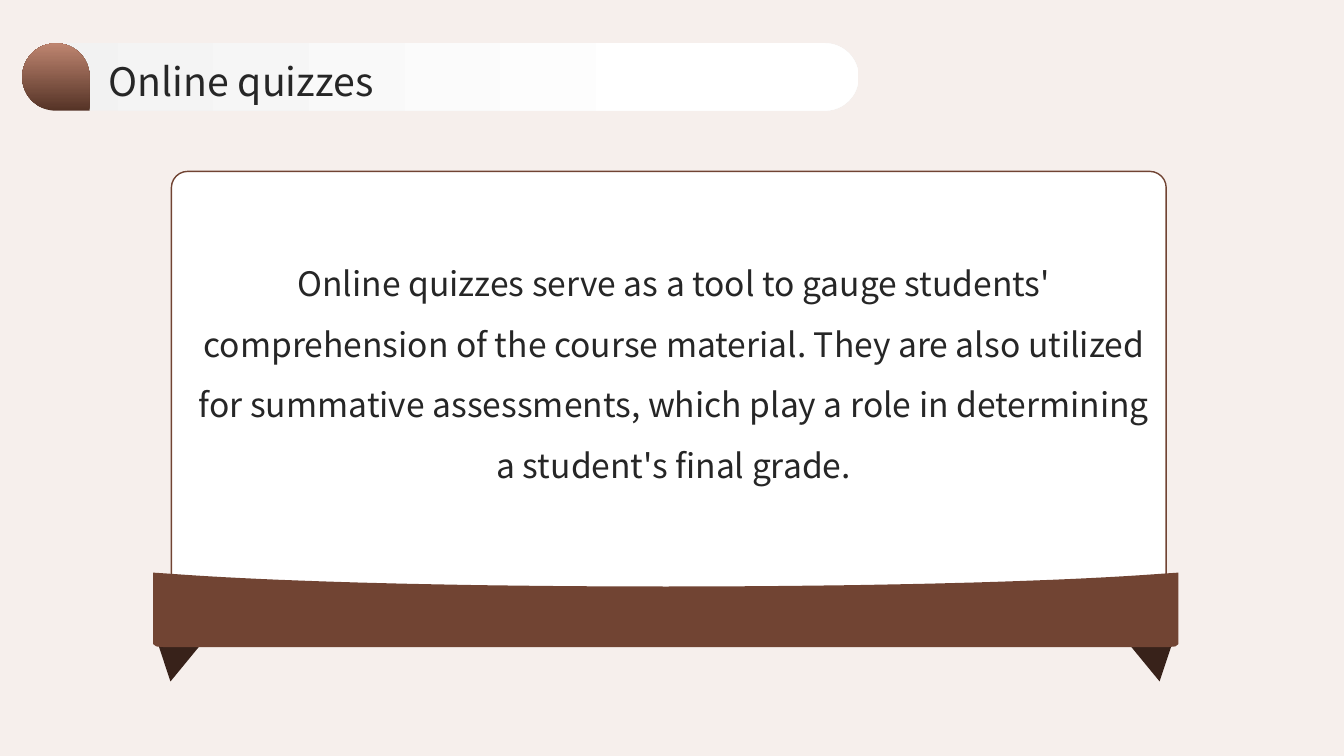
from pptx import Presentation, util as u
from pptx.dml.color import RGBColor
from pptx.enum import shapes, text

COLORS = {
    "background": "F6EFEC",
    "white": "FFFFFF",
    "pale_grey": "F2F2F2",
    "brown": "714433",
    "fold": "38221A",
    "drop_dark": "553326",
    "drop_light": "BE8570",
    "ink": "262626",
}
RGB = {name: RGBColor.from_string(code) for name, code in COLORS.items()}
FONT = "Noto Sans CJK SC"
PRESET = shapes.MSO_SHAPE

deck = Presentation()
deck.slide_width, deck.slide_height = u.Cm(33.87), u.Cm(19.05)
page = deck.slides.add_slide(deck.slide_layouts[6])
page.background.fill.solid()
page.background.fill.fore_color.rgb = RGB["background"]


def add_preset(preset, left, top, width, height, *colors):
    """Add a shape with one solid colour or a two-colour gradient."""
    shape = page.shapes.add_shape(preset, u.Cm(left), u.Cm(top), u.Cm(width), u.Cm(height))
    shape.shadow.inherit = False
    shape.line.fill.background()
    if len(colors) == 1:
        shape.fill.solid()
        shape.fill.fore_color.rgb = RGB[colors[0]]
    else:
        shape.fill.gradient()
        for stop, color in zip(shape.fill.gradient_stops, colors):
            stop.color.rgb = RGB[color]
    return shape


def add_text(words, left, top, width, height, size, spacing):
    """Add a wrapped text box without margins."""
    box = page.shapes.add_textbox(u.Cm(left), u.Cm(top), u.Cm(width), u.Cm(height))
    frame = box.text_frame
    frame.word_wrap = True
    frame.margin_left = frame.margin_right = frame.margin_top = frame.margin_bottom = 0
    frame.text = words
    para = frame.paragraphs[0]
    para.line_spacing = spacing
    span = para.runs[0]
    span.font.name, span.font.size = FONT, u.Pt(size)
    span.font.color.rgb = RGB["ink"]
    return frame


# Folded ribbon ends
for left, turn in ((28.14, -71.6), (4.39, 71.6)):
    fold = add_preset(PRESET.RIGHT_TRIANGLE, left, 15.67, 0.99, 1.57, "fold")
    fold.rotation = turn
    if turn < 0:
        fold._element.spPr.xfrm.set("flipH", "1")

# Card
card = add_preset(PRESET.ROUNDED_RECTANGLE, 4.32, 4.32, 25.07, 11.1, "white")
card.adjustments[0] = 0.037
card.line.color.rgb = RGB["brown"]
card.line.width = u.Pt(1)

# Ribbon: the left half from bottom to top centre, then its mirror image
RIBBON_CENTRE = 16.78
STEPS = 24
curve = ((4.17, 14.45), (6.91, 14.66), (11.56, 14.78), (RIBBON_CENTRE, 14.78))
left_half = [(4.17, 16.31), (3.94, 16.29), (3.86, 16.23), (3.86, 14.43)]
for step in range(STEPS + 1):
    t = step / STEPS
    weights = ((1 - t) ** 3, 3 * t * (1 - t) ** 2, 3 * t ** 2 * (1 - t), t ** 3)
    left_half.append(tuple(sum(w * point[axis] for w, point in zip(weights, curve))
                           for axis in (0, 1)))
right_half = [(2 * RIBBON_CENTRE - x, y) for x, y in reversed(left_half[:-1])]
outline = [(u.Cm(x), u.Cm(y)) for x, y in left_half + right_half]
builder = page.shapes.build_freeform(*outline[0])
builder.add_line_segments(outline[1:], close=True)
ribbon = builder.convert_to_shape()
ribbon.shadow.inherit = False
ribbon.fill.solid()
ribbon.fill.fore_color.rgb = RGB["brown"]
ribbon.line.fill.background()

# Card text
body = add_text(
    "Online quizzes serve as a tool to gauge students' comprehension of the course "
    "material. They are also utilized for summative assessments, which play a role "
    "in determining a student's final grade.",
    4.93, 6.12, 24.1, 5.87, 24, 1.5)
body.paragraphs[0].alignment = text.PP_ALIGN.CENTER

# Title bar with drop
bar = add_preset(PRESET.ROUNDED_RECTANGLE, 0.56, 1.09, 21.08, 1.7, "pale_grey", "white")
bar.adjustments[0] = 0.5
bar.fill.gradient_angle = 0
bar.fill.gradient_stops[1].position = 0.8

drop = add_preset(PRESET.TEAR, 0.56, 1.09, 1.7, 1.7, "drop_dark", "drop_light")
drop.fill.gradient_angle = 270
drop.rotation = 180
drop._element.spPr.xfrm.set("flipH", "1")

title = add_text("Online quizzes", 2.74, 1.32, 30.18, 1.3, 28, 1.1)
title.vertical_anchor = text.MSO_ANCHOR.MIDDLE

deck.save("out.pptx")
